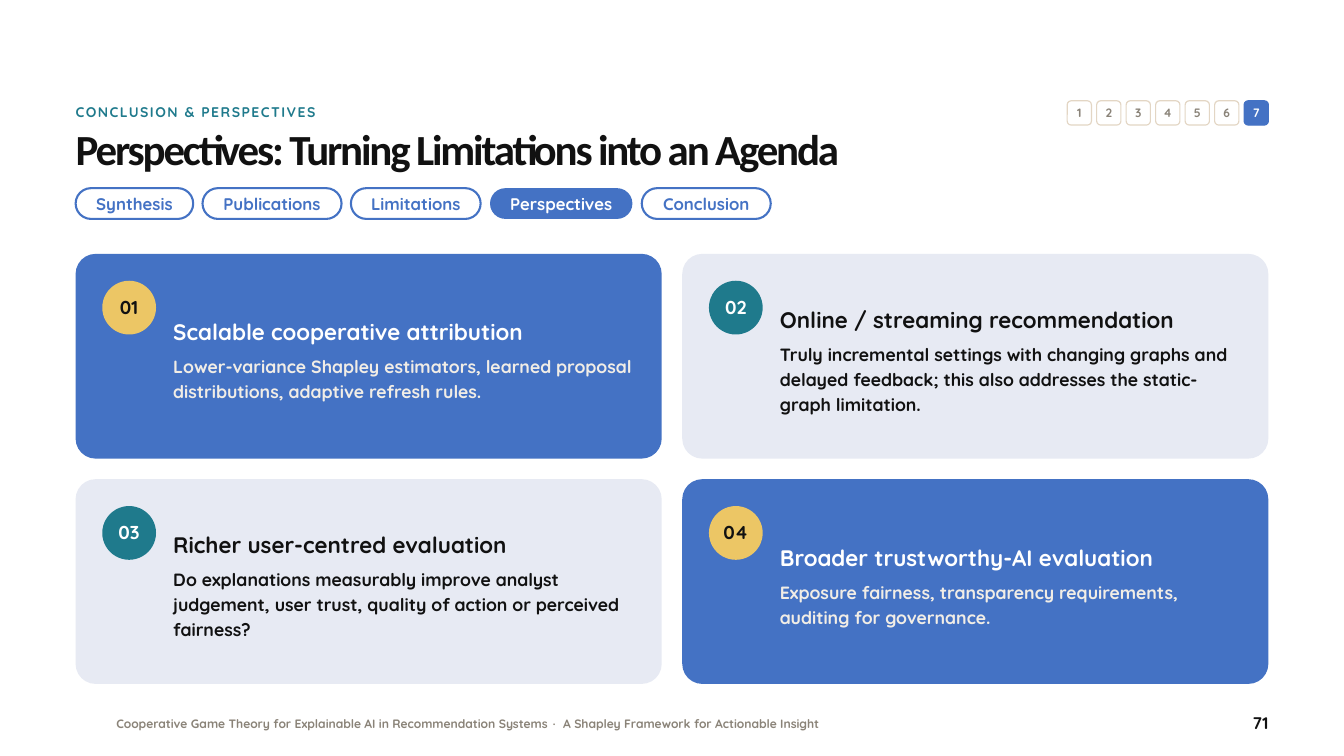
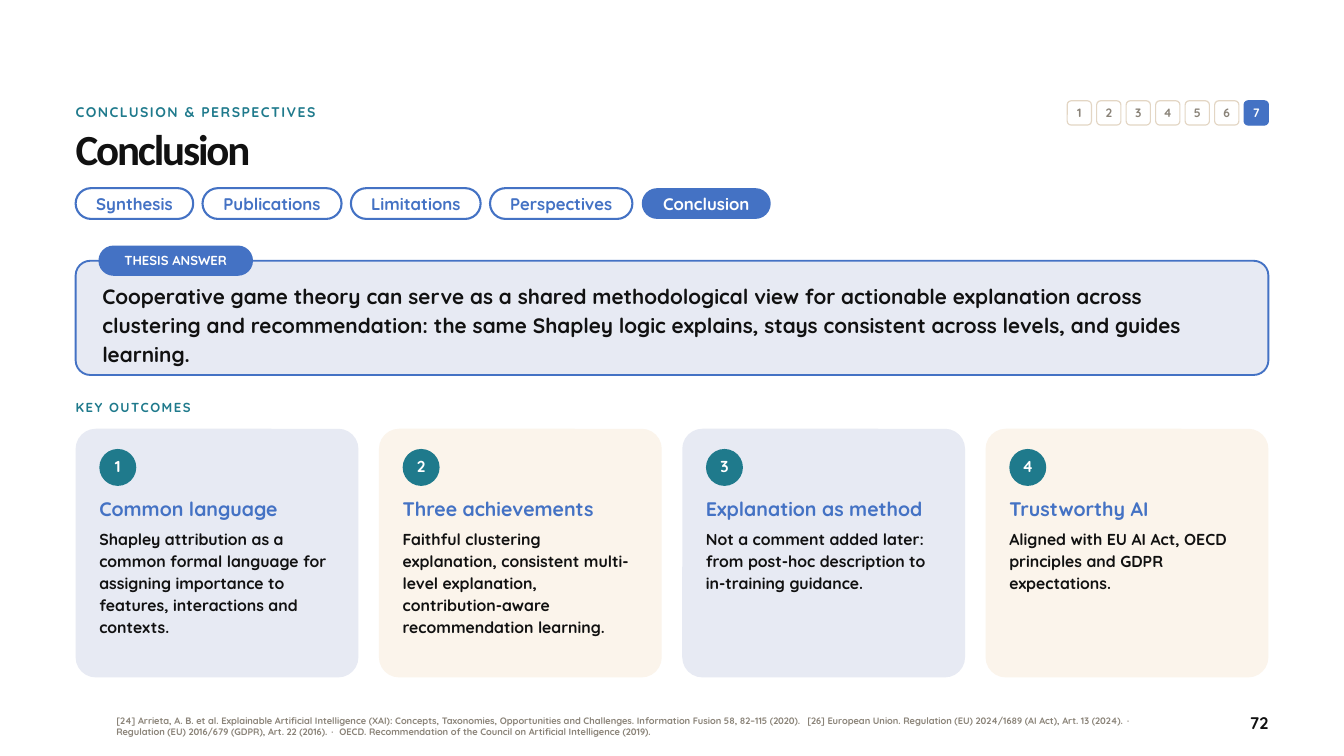
from dataclasses import dataclass, replace
from typing import NamedTuple

from pptx import Presentation
from pptx.dml.color import RGBColor
from pptx.enum.shapes import MSO_SHAPE as Kind
from pptx.enum.text import MSO_ANCHOR as Anchor, MSO_AUTO_SIZE as Fit, PP_ALIGN as Align
from pptx.util import Pt

BLUE, TEAL, GOLD = "4472C4", "1F7A8C", "ECC665"
MIST, CREAM, SAND, PALE = "E7EAF3", "FBF4EB", "E3D6C4", "F1EDE6"
INK, GREY, WHITE = "111111", "8A8378", "FFFFFF"

LEFT, WIDTH, GAP = 81, 1278, 22
RIGHT = LEFT + WIDTH
TABS = [("Synthesis", 126), ("Publications", 149), ("Limitations", 139),
        ("Perspectives", 152.6), ("Conclusion", 138.2)]


class Box(NamedTuple):
    x: float
    y: float
    w: float
    h: float


class Run(NamedTuple):
    text: str
    track: float = 0


@dataclass(frozen=True)
class Look:
    size: float
    lead: float
    color: str = INK
    font: str = "Quicksand"
    align: Align = Align.LEFT
    before: float = 0


@dataclass(frozen=True)
class Para:
    look: Look
    runs: list[Run]


@dataclass(frozen=True)
class Card:
    """Wording and colours of one numbered card."""
    mark: str
    head: str
    body: str
    fill: str
    badge: str
    mark_ink: str
    head_ink: str
    body_ink: str


@dataclass(frozen=True)
class Plan:
    """Measures shared by the cards of one slide; offsets run from the card corner."""
    top: float
    cols: int
    high: float
    radius: float
    disc: Box
    copy: Box
    anchor: Anchor
    mark: Look
    head: Look
    body: Look


def rgb(code: str) -> RGBColor:
    return RGBColor.from_string(code)


def para(look: Look, text: str, track: float = 0) -> Para:
    return Para(look, [Run(text, track)])


def place(item, box: Box) -> None:
    item.left, item.top, item.width, item.height = map(Pt, box)


def write(frame, paras: list[Para], anchor: Anchor, side: float = 0) -> None:
    frame.word_wrap = True
    frame.auto_size = Fit.NONE
    frame.vertical_anchor = anchor
    frame.margin_left = frame.margin_right = Pt(side)
    frame.margin_top = frame.margin_bottom = 0
    for i, part in enumerate(paras):
        line = frame.add_paragraph() if i else frame.paragraphs[0]
        look = part.look
        line.alignment = look.align
        line.line_spacing = Pt(look.lead)
        line.space_before = Pt(look.before)
        for piece in part.runs:
            run = line.add_run()
            run.text = piece.text
            font = run.font
            font.name, font.size, font.bold = look.font, Pt(look.size), True
            font.color.rgb = rgb(look.color)
            if piece.track:
                run._r.get_or_add_rPr().set("spc", str(round(piece.track * 100)))


def label(slide, box: Box, paras: list[Para], anchor: Anchor = Anchor.TOP) -> None:
    write(slide.shapes.add_textbox(*map(Pt, box)).text_frame, paras, anchor)


def draw(slide, kind: Kind, box: Box, fill: str = "", line: str = "", weight: float = 0,
         radius: float = 0, text: Para | None = None, side: float = 0) -> None:
    shape = slide.shapes.add_shape(kind, *map(Pt, box))
    shape.shadow.inherit = False
    if fill:
        shape.fill.solid()
        shape.fill.fore_color.rgb = rgb(fill)
    else:
        shape.fill.background()
    if line:
        shape.line.color.rgb = rgb(line)
        shape.line.width = Pt(weight)
    else:
        shape.line.fill.background()
    if radius:
        shape.adjustments[0] = radius / min(box.w, box.h)
    if text:
        write(shape.text_frame, [text], Anchor.MIDDLE, side)


def pill(slide, box: Box, text: str, size: float, on: bool, edge: bool) -> None:
    look = Look(size, size * 1.2, WHITE if on else BLUE, align=Align.CENTER)
    draw(slide, Kind.ROUNDED_RECTANGLE, box, BLUE if on else "", BLUE if edge else "",
         2.25, box.h / 2, para(look, text), 3.6)


def steps(slide, count: int, now: int) -> None:
    side, pitch = 26, 31.6
    for n in range(1, count + 1):
        on = n == now
        look = Look(13, 15, WHITE if on else GREY, align=Align.CENTER)
        box = Box(RIGHT - side - (count - n) * pitch, 108, side, side)
        draw(slide, Kind.ROUNDED_RECTANGLE, box, BLUE if on else WHITE,
             BLUE if on else SAND, 1.25, 4.33, para(look, str(n)))


def tabs(slide, now: str) -> None:
    x = LEFT
    for name, wide in TABS:
        on = name == now
        pill(slide, Box(x, 201.6, wide, 33), name, 18, on, not on)
        x += wide + 10


def start(deck, title: str, tab: str, page: int):
    """Add a slide with the title, section, tabs, steps and page number."""
    slide = deck.slides.add_slide(deck.slide_layouts[5])
    head = slide.shapes.title
    place(head, Box(LEFT, 135.4, WIDTH, 57.6))
    write(head.text_frame, [para(Look(46, 50.6, font="Calibri"), title, -2.3)], Anchor.TOP)
    label(slide, Box(LEFT, 109.4, 1019, 26),
          [para(Look(15, 20, TEAL), "CONCLUSION & PERSPECTIVES", 1.6)])
    steps(slide, 7, 7)
    tabs(slide, tab)
    label(slide, Box(RIGHT - 86.4, 763.2, 86.4, 26),
          [para(Look(18, 22, align=Align.RIGHT), str(page))])
    return slide


def cards(slide, plan: Plan, items: list[Card]) -> None:
    wide = (WIDTH - GAP * (plan.cols - 1)) / plan.cols
    for i, card in enumerate(items):
        row, col = divmod(i, plan.cols)
        x, y = LEFT + col * (wide + GAP), plan.top + row * (plan.high + GAP)
        draw(slide, Kind.ROUNDED_RECTANGLE, Box(x, y, wide, plan.high), card.fill,
             radius=plan.radius)
        disc, copy = (b._replace(x=x + b.x, y=y + b.y) for b in (plan.disc, plan.copy))
        mark = replace(plan.mark, color=card.mark_ink)
        draw(slide, Kind.OVAL, disc, card.badge, text=para(mark, card.mark))
        label(slide, copy, [para(replace(plan.head, color=card.head_ink), card.head),
                            para(replace(plan.body, color=card.body_ink), card.body)],
              plan.anchor)


def agenda(deck) -> None:
    slide = start(deck, "Perspectives: Turning Limitations into an Agenda", "Perspectives", 71)
    dark = (BLUE, GOLD, INK, WHITE, PALE)
    light = (MIST, TEAL, WHITE, INK, INK)
    plan = Plan(272, 2, 219.4, 21.5, Box(28.6, 28.8, 57.6, 57.6), Box(104.6, 25.2, 495.4, 176.4),
                Anchor.MIDDLE, Look(20, 22, align=Align.CENTER), Look(24, 30),
                Look(19, 26.6, before=8))
    cards(slide, plan, [
        Card("01", "Scalable cooperative attribution",
             "Lower-variance Shapley estimators, learned proposal distributions, "
             "adaptive refresh rules.", *dark),
        Card("02", "Online / streaming recommendation",
             "Truly incremental settings with changing graphs and delayed feedback; "
             "this also addresses the static-graph limitation.", *light),
        Card("03", "Richer user-centred evaluation",
             "Do explanations measurably improve analyst judgement, user trust, "
             "quality of action or perceived fairness?", *light),
        Card("04", "Broader trustworthy-AI evaluation",
             "Exposure fairness, transparency requirements, auditing for governance.", *dark),
    ])
    label(slide, Box(124.6, 767.5, 1008, 21.6), [Para(Look(13, 16, GREY), [
        Run("Cooperative Game Theory for Explainable AI in Recommendation Systems"),
        Run(" · ", 2.2),
        Run("A Shapley Framework for Actionable Insight")])])


def closing(deck) -> None:
    slide = start(deck, "Conclusion", "Conclusion", 72)
    draw(slide, Kind.ROUNDED_RECTANGLE, Box(LEFT, 279.4, WIDTH, 122.4), MIST, BLUE, 2, 15.8)
    pill(slide, Box(106.6, 264.2, 163.4, 30.2), "THESIS ANSWER", 14, True, True)
    label(slide, Box(109.6, 301, 1220.4, 90), [para(
        Look(22.3, 31.2),
        "Cooperative game theory can serve as a shared methodological view for actionable "
        "explanation across clustering and recommendation: the same Shapley logic explains, "
        "stays consistent across levels, and guides learning.")], Anchor.MIDDLE)
    label(slide, Box(LEFT, 427, WIDTH, 25.2), [para(Look(14, 18, TEAL), "KEY OUTCOMES", 1.6)])

    inks = (TEAL, WHITE, BLUE, INK)
    plan = Plan(459.4, 4, 266.4, 21.6, Box(25.4, 21.6, 39.6, 39.6), Box(25.4, 72, 252.7, 183.6),
                Anchor.TOP, Look(17, 18.7, align=Align.CENTER), Look(21, 26.2),
                Look(17, 23.8, before=6))
    cards(slide, plan, [
        Card("1", "Common language",
             "Shapley attribution as a common formal language for assigning importance "
             "to features, interactions and contexts.", MIST, *inks),
        Card("2", "Three achievements",
             "Faithful clustering explanation, consistent multi-level explanation, "
             "contribution-aware recommendation learning.", CREAM, *inks),
        Card("3", "Explanation as method",
             "Not a comment added later: from post-hoc description to in-training guidance.",
             MIST, *inks),
        Card("4", "Trustworthy AI",
             "Aligned with EU AI Act, OECD principles and GDPR expectations.", CREAM, *inks),
    ])
    dot = Run(" · ", 1.7)
    label(slide, Box(124.6, 756, 1141.2, 44.6), [Para(Look(10, 12, GREY), [
        Run("[24] Arrieta, A. B. et al. Explainable Artificial Intelligence (XAI): Concepts, "
            "Taxonomies, Opportunities and Challenges. Information Fusion 58, 82–115 (2020)."),
        Run(" ", 5),
        Run("[26] European Union. Regulation (EU) 2024/1689 (AI Act), Art. 13 (2024)."),
        dot,
        Run("Regulation (EU) 2016/679 (GDPR), Art. 22 (2016)."),
        dot,
        Run("OECD. Recommendation of the Council on Artificial Intelligence (2019).")])],
        Anchor.MIDDLE)


def main() -> None:
    deck = Presentation()
    deck.slide_width, deck.slide_height = Pt(1440), Pt(810)
    agenda(deck)
    closing(deck)
    deck.save("out.pptx")


if __name__ == "__main__":
    main()
